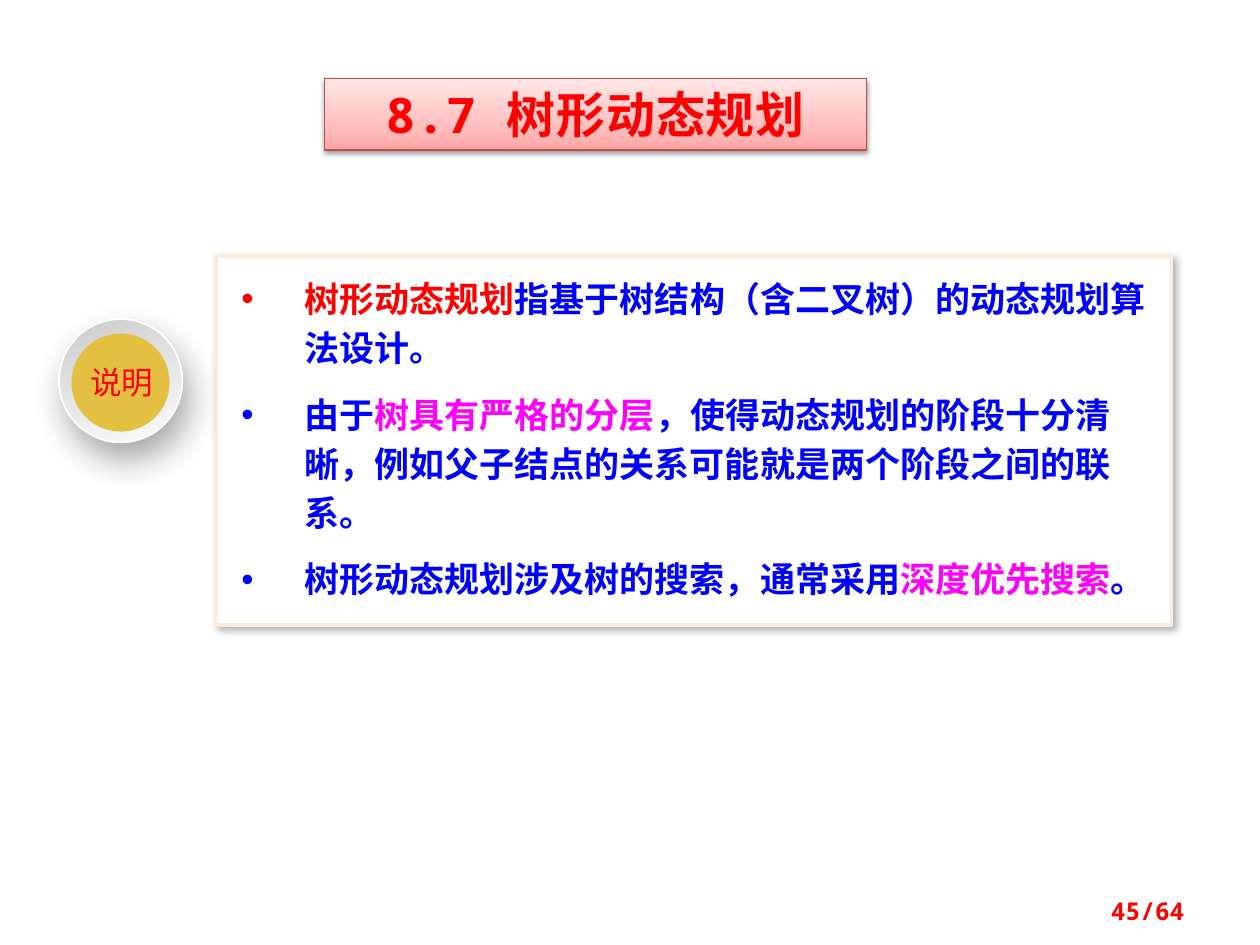
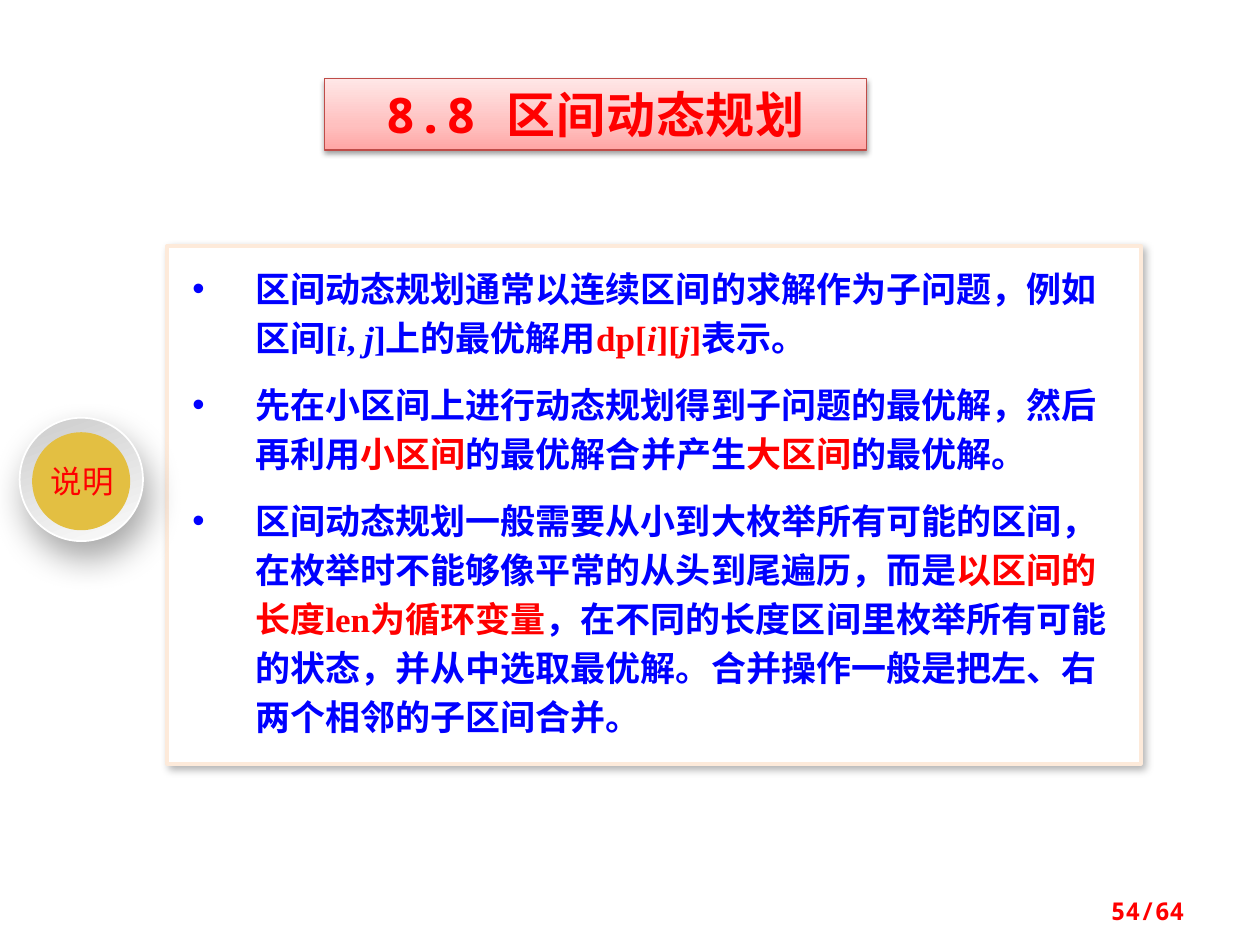
from lxml import etree
from pptx import Presentation
from pptx.dml.color import RGBColor
from pptx.enum.shapes import MSO_SHAPE
from pptx.enum.text import MSO_ANCHOR, MSO_AUTO_SIZE, PP_ALIGN
from pptx.oxml.ns import qn
from pptx.util import Pt

OVAL = MSO_SHAPE.OVAL
TOP, MIDDLE = MSO_ANCHOR.TOP, MSO_ANCHOR.MIDDLE
LEFT, CENTER, RIGHT = PP_ALIGN.LEFT, PP_ALIGN.CENTER, PP_ALIGN.RIGHT
NO_FIT = MSO_AUTO_SIZE.NONE

RED = RGBColor(0xFF, 0x00, 0x00)
BLUE = RGBColor(0x00, 0x00, 0xFF)
MAGENTA = RGBColor(0xFF, 0x00, 0xFF)
WHITE = RGBColor(0xFF, 0xFF, 0xFF)
PEACH = RGBColor(0xFD, 0xEA, 0xDA)
BRICK = RGBColor(0xBF, 0x4C, 0x48)
GOLD = RGBColor(0xE3, 0xBF, 0x42)
BANNER_STOPS = [(0, "FFA6A5"), (35, "FFC0BF"), (100, "FFE7E7")]
RIM_STOPS = [(0, "CCCCCC"), (100, "FCFCFC")]

MONO, SERIF, CJK = "Noto Sans Mono", "Times New Roman", "Noto Sans CJK SC"
TOTAL_PAGES = 64

# Each run of a bullet is (text, colour, italic).
SLIDES = [
    {
        "title": "8.7 树形动态规划",
        "page": 45,
        "panel": (123.5, 146.2, 546, 211),
        "right_inset": 14.4,
        "badge": (33.7, 182.3),
        "bullets": [
            [("树形动态规划", RED, False),
             ("指基于树结构（含二叉树）的动态规划算法设计。", BLUE, False)],
            [("由于", BLUE, False),
             ("树具有严格的分层", MAGENTA, False),
             ("，使得动态规划的阶段十分清晰，例如父子结点的关系可能就是"
              "两个阶段之间的联系。", BLUE, False)],
            [("树形动态规划涉及树的搜索，通常采用", BLUE, False),
             ("深度优先搜索", MAGENTA, False),
             ("。", BLUE, False)],
        ],
    },
    {
        "title": "8.8 区间动态规划",
        "page": 54,
        "panel": (95.5, 140.5, 556.5, 296),
        "right_inset": 7.2,
        "badge": (11.2, 238.7),
        "bullets": [
            [("区间动态规划通常以连续区间的求解作为子问题，例如区间[", BLUE, False),
             ("i", BLUE, True), (", ", BLUE, False), ("j", BLUE, True),
             ("]上的最优解用", BLUE, False),
             ("dp[", RED, False), ("i", RED, True), ("][", RED, False),
             ("j", RED, True), ("]", RED, False),
             ("表示。", BLUE, False)],
            [("先在小区间上进行动态规划得到子问题的最优解，然后再利用", BLUE, False),
             ("小区间", RED, False),
             ("的最优解合并产生", BLUE, False),
             ("大区间", RED, False),
             ("的最优解。", BLUE, False)],
            [("区间动态规划一般需要从小到大枚举所有可能的区间，"
              "在枚举时不能够像平常的从头到尾遍历，而是", BLUE, False),
             ("以区间的长度len为循环变量", RED, False),
             ("，在不同的长度区间里枚举所有可能的状态，并从中选取最优解。"
              "合并操作一般是把左、右两个相邻的子区间合并。", BLUE, False)],
        ],
    },
]


def decorate(s, line, width, shadow, stops=None, angle=0):
    """Set outline, shadow (opacity %, blur, distance, degrees) and gradient."""
    if stops:
        s.fill.gradient()
        s.fill.gradient_angle = angle
        stop_list = s._element.spPr.find(".//" + qn("a:gsLst"))
        for old in list(stop_list):
            stop_list.remove(old)
        for position, color in stops:
            stop = etree.SubElement(stop_list, qn("a:gs"), pos=str(position * 1000))
            etree.SubElement(stop, qn("a:srgbClr"), val=color)
    s.line.color.rgb = line
    s.line.width = Pt(width)
    s.shadow.inherit = False
    opacity, blur, distance, direction = shadow
    effects = s._element.spPr.find(qn("a:effectLst"))
    outer = etree.SubElement(
        effects, qn("a:outerShdw"), blurRad=str(Pt(blur)), dist=str(Pt(distance)),
        dir=str(direction * 60000), algn="ctr", rotWithShape="0")
    black = etree.SubElement(outer, qn("a:srgbClr"), val="000000")
    etree.SubElement(black, qn("a:alpha"), val=str(opacity * 1000))


def format_run(r, font, size, color, bold=False, italic=False):
    r.font.name = font
    r.font.size = Pt(size)
    r.font.color.rgb = color
    r.font.bold = bold
    r.font.italic = italic
    etree.SubElement(r._r.get_or_add_rPr(), qn("a:ea"), typeface=CJK)


prs = Presentation()
prs.slide_width, prs.slide_height = Pt(720), Pt(540)

for content in SLIDES:
    slide = prs.slides.add_slide(prs.slide_layouts[1])

    # Title banner
    title = slide.shapes.title
    title.left, title.top, title.width, title.height = Pt(185.5), Pt(44.8), Pt(309.5), Pt(41)
    decorate(title, BRICK, 0.75, (38, 3.1, 1.6, 90), BANNER_STOPS, 90)
    tf = title.text_frame
    tf.text = content["title"]
    tf.auto_size = NO_FIT
    tf.vertical_anchor = MIDDLE
    p = tf.paragraphs[0]
    p.alignment = CENTER
    format_run(p.runs[0], MONO, 28, RED, bold=True)
    p.runs[0]._r.rPr.set("spc", "50")

    # Bullet panel
    panel = slide.placeholders[1]
    panel.left, panel.top, panel.width, panel.height = map(Pt, content["panel"])
    panel.fill.solid()
    panel.fill.fore_color.rgb = WHITE
    decorate(panel, PEACH, 2, (30, 4.5, 2.6, 53))
    tf = panel.text_frame
    tf.auto_size = NO_FIT
    tf.vertical_anchor = TOP
    tf.margin_left, tf.margin_right = Pt(14.4), Pt(content["right_inset"])
    tf.margin_top = tf.margin_bottom = Pt(8.6)
    for i, runs in enumerate(content["bullets"]):
        p = tf.add_paragraph() if i else tf.paragraphs[0]
        p.alignment = LEFT
        p.line_spacing = Pt(28)
        p.space_before = Pt(10 if i else 0)
        pPr = p._p.get_or_add_pPr()
        pPr.set("marL", str(Pt(36)))
        pPr.set("indent", str(Pt(-36)))
        pPr.set("hangingPunct", "0")
        etree.SubElement(pPr, qn("a:buFont"), typeface="Arial")
        etree.SubElement(pPr, qn("a:buChar"), char="•")
        for text, color, italic in runs:
            r = p.add_run()
            r.text = text
            format_run(r, SERIF, 20, color, bold=True, italic=italic)

    # Round badge
    x, y = content["badge"]
    badge = slide.shapes.add_group_shape()
    rim = badge.shapes.add_shape(OVAL, Pt(x), Pt(y), Pt(70.5), Pt(70.5))
    decorate(rim, WHITE, 1, (34, 20, 10, 70), RIM_STOPS, 290)
    disc = badge.shapes.add_shape(OVAL, Pt(x + 7.2), Pt(y + 8.3), Pt(56), Pt(56))
    disc.fill.solid()
    disc.fill.fore_color.rgb = GOLD
    disc.line.fill.background()
    disc.shadow.inherit = False
    label = badge.shapes.add_textbox(Pt(x + 10.4), Pt(y + 25.8), Pt(51), Pt(24.5))
    tf = label.text_frame
    tf.word_wrap = False
    tf.text = "说明"
    p = tf.paragraphs[0]
    p.alignment = CENTER
    p.line_spacing = 0.8
    format_run(p.runs[0], CJK, 18, RED)

    # Page number
    footer = slide.shapes.add_textbox(Pt(516), Pt(506), Pt(168), Pt(29))
    tf = footer.text_frame
    tf.word_wrap = True
    tf.vertical_anchor = MIDDLE
    tf.text = f"{content['page']}/{TOTAL_PAGES}"
    p = tf.paragraphs[0]
    p.alignment = RIGHT
    format_run(p.runs[0], MONO, 14, RED, bold=True)

prs.save("out.pptx")
